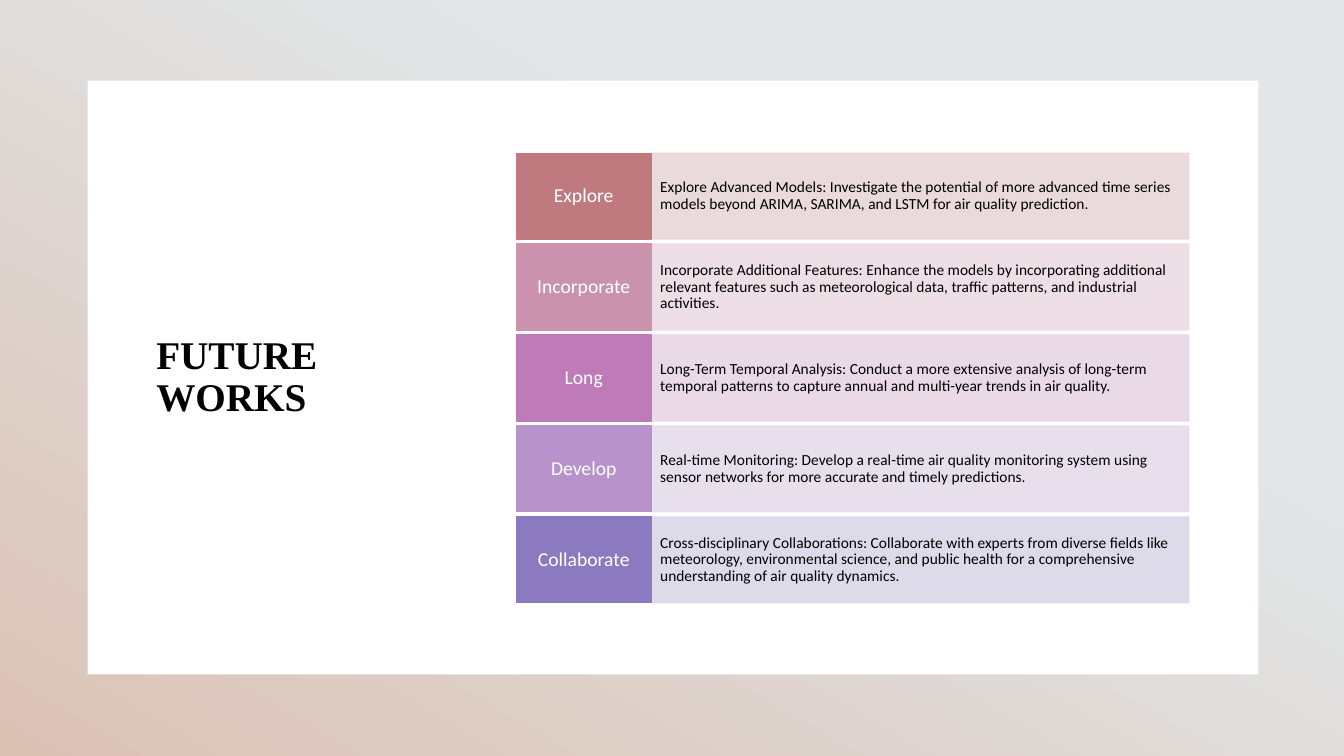
from lxml.etree import SubElement
from pptx import Presentation
from pptx.dml.color import RGBColor as RGB
from pptx.enum.shapes import MSO_SHAPE as Kind
from pptx.enum.text import MSO_ANCHOR as Anchor, MSO_AUTO_SIZE as Auto, PP_ALIGN as Align
from pptx.oxml.ns import qn
from pptx.util import Inches, Pt

HUES = {"mist": "E2E6E8", "clay": "DBC2B5", "white": "FFFFFF", "black": "000000"}
STEPS = [
    ("Explore", "BF7A7F", "E8D7D8",
     "Explore Advanced Models: Investigate the potential of more advanced time series "
     "models beyond ARIMA, SARIMA, and LSTM for air quality prediction."),
    ("Incorporate", "CB92AE", "ECDCE3",
     "Incorporate Additional Features: Enhance the models by incorporating additional "
     "relevant features such as meteorological data, traffic patterns, and industrial activities."),
    ("Long", "BF7AB9", "E8D7E6",
     "Long-Term Temporal Analysis: Conduct a more extensive analysis of long-term "
     "temporal patterns to capture annual and multi-year trends in air quality."),
    ("Develop", "B892CB", "E6DCEC",
     "Real-time Monitoring: Develop a real-time air quality monitoring system using "
     "sensor networks for more accurate and timely predictions."),
    ("Collaborate", "8B7ABF", "DAD7E8",
     "Cross-disciplinary Collaborations: Collaborate with experts from diverse fields like "
     "meteorology, environmental science, and public health for a comprehensive "
     "understanding of air quality dynamics."),
]
LABEL = {"name": "Calibri", "size": Pt(14)}
DETAIL = {"name": "Calibri", "size": Pt(11)}
HEAD = {"name": "Times New Roman", "size": Pt(28), "bold": True}


def add_box(left, top, width, height, hue=None):
    box = slide.shapes.add_shape(
        Kind.RECTANGLE, Inches(left), Inches(top), Inches(width), Inches(height))
    box.shadow.inherit = False
    box.line.fill.background()
    if hue:
        box.fill.solid()
        box.fill.fore_color.rgb = RGB.from_string(hue)
    return box


def set_text(shape, text, look, hue, align, pad):
    frame = shape.text_frame
    frame.text = text
    form = {"word_wrap": True, "auto_size": Auto.NONE, "vertical_anchor": Anchor.MIDDLE,
            "margin_left": Inches(pad[0]), "margin_right": Inches(pad[0]),
            "margin_top": Inches(pad[1]), "margin_bottom": Inches(pad[1])}
    for key, value in form.items():
        setattr(frame, key, value)
    para = frame.paragraphs[0]
    para.alignment = align
    para.line_spacing = 0.9
    font = para.runs[0].font
    for key, value in look.items():
        setattr(font, key, value)
    font.color.rgb = RGB.from_string(HUES[hue])


deck = Presentation()
deck.slide_width, deck.slide_height = Inches(13.33), Inches(7.5)
slide = deck.slides.add_slide(deck.slide_layouts[5])

back = add_box(0, 0, 13.33, 7.5)
back.fill.gradient()
back.fill.gradient_angle = 240
for stop, hue, place in zip(back.fill.gradient_stops, ("mist", "clay"), (0.32, 1)):
    stop.color.rgb = RGB.from_string(HUES[hue])
    stop.position = place
add_box(0.87, 0.8, 11.61, 5.89, HUES["white"])

title = slide.shapes.title
spot = {"left": 1.45, "top": 2.25, "width": 3.3, "height": 2.99}
for key, value in spot.items():
    setattr(title, key, Inches(value))
set_text(title, "FUTURE WORKS", HEAD, "black", Align.LEFT, (0.1, 0.05))
slide.shapes._spTree.append(title._element)

first, last = 1.52, 5.13
pitch = (last - first) / (len(STEPS) - 1)
for row, (name, dark, pale, text) in enumerate(STEPS):
    top = first + row * pitch
    note = add_box(6.45, top, 5.34, 0.85, pale)
    tag = add_box(5.12, top, 1.34, 0.85, dark)
    for box, hue in ((note, pale), (tag, dark)):
        box.line.color.rgb = RGB.from_string(hue)
        box.line.width = Pt(1)
    for tint in note._element.spPr.iter(qn("a:srgbClr")):
        SubElement(tint, qn("a:alpha"), val="90000")
    set_text(note, text, DETAIL, "black", Align.LEFT, (0.1, 0.22))
    set_text(tag, name, LABEL, "white", Align.CENTER, (0.07, 0.08))

deck.save("out.pptx")
